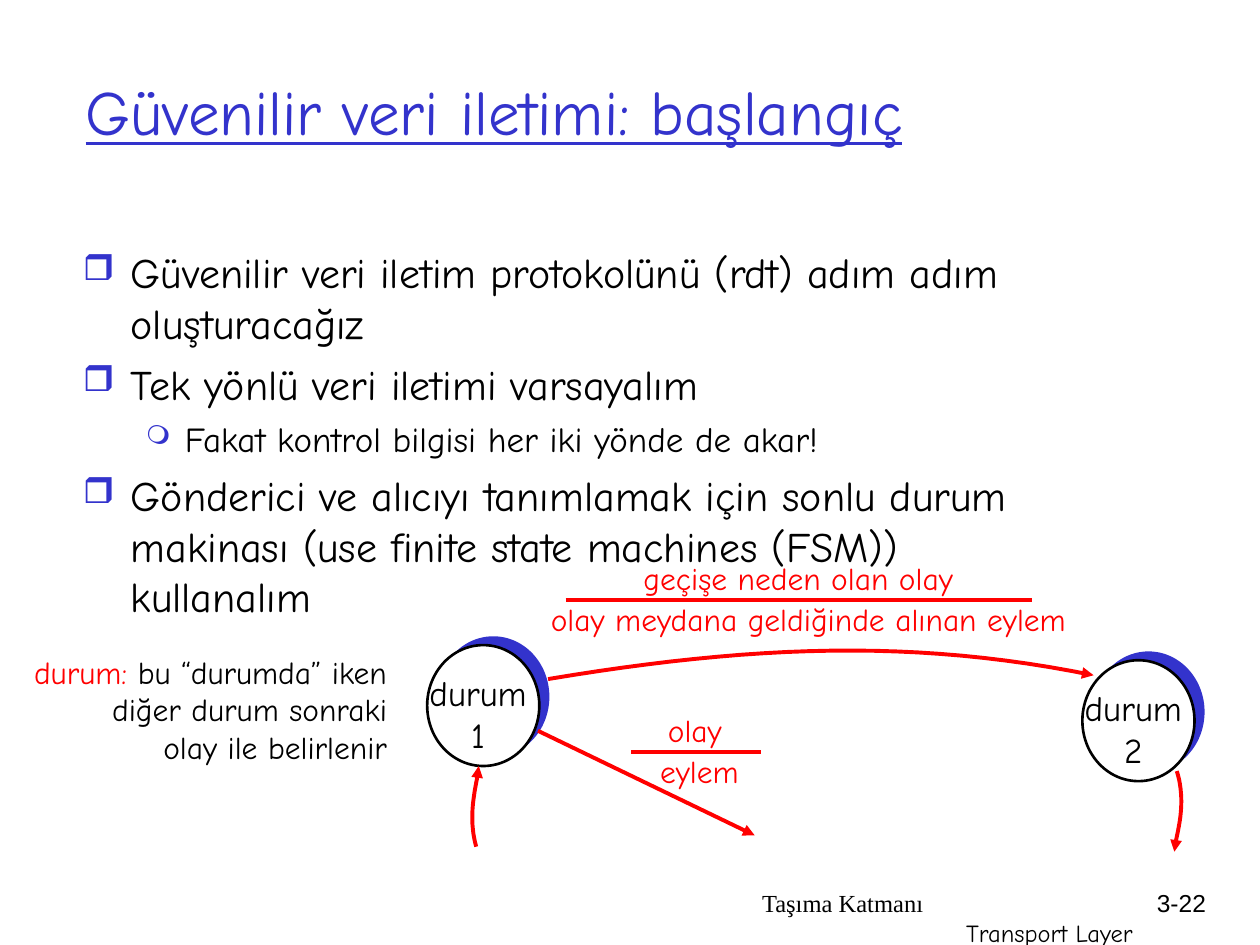
from typing import NamedTuple

from lxml import etree
from pptx import Presentation
from pptx.dml.color import RGBColor
from pptx.enum import shapes, text
from pptx.oxml.ns import qn
from pptx.util import Inches, Pt

COLORS = {"blue": "3333CC", "red": "FF0000", "black": "000000", "white": "FFFFFF"}
FONT = "Comic Neue"
LEFT, CENTER, RIGHT = text.PP_ALIGN.LEFT, text.PP_ALIGN.CENTER, text.PP_ALIGN.RIGHT
CURVE_STEPS = 24


class Bullet(NamedTuple):
    words: str
    symbol: str = "❒"
    scale: int = 85
    margin: float = 0.38
    hanging: float = 0.38
    size: float = 24
    space: float = 6


class State(NamedTuple):
    number: str
    left: float
    top: float


class Label(NamedTuple):
    words: str
    left: float
    top: float
    width: float


class Curve(NamedTuple):
    start: tuple
    control_1: tuple
    control_2: tuple
    end: tuple


BULLETS = [
    Bullet("Güvenilir veri iletim protokolünü (rdt) adım adım oluşturacağız", space=0),
    Bullet("Tek yönlü veri iletimi varsayalım"),
    Bullet("Fakat kontrol bilgisi her iki yönde de akar!", "❍", 75, 0.81, 0.31, 20, 5),
    Bullet("Gönderici ve alıcıyı tanımlamak için sonlu durum makinası "
           "(use finite state machines (FSM)) kullanalım"),
]
STATES = [State("1", 3.47, 5.05), State("2", 8.67, 5.17)]
LABELS = [
    Label("geçişe neden olan olay", 5.01, 4.39, 2.65),
    Label("olay meydana geldiğinde alınan eylem", 4.27, 4.71, 4.29),
    Label("olay", 5.2, 5.59, 0.63),
    Label("eylem", 5.14, 5.92, 0.82),
]
CURVES = [
    Curve((4.35, 5.39), (5.97, 5.12), (7.26, 5.07), (8.68, 5.36)),
    Curve((3.78, 6.72), (3.7, 6.44), (3.8, 6.18), (3.8, 6.08)),
    Curve((9.34, 6.12), (9.43, 6.41), (9.32, 6.66), (9.32, 6.76)),
]


def color(name: str) -> RGBColor:
    return RGBColor.from_string(COLORS[name])


def add_box(slide, left: float, top: float, width: float, height: float, wrap=True):
    """Add a text box; one that does not wrap has no side margins."""
    frame = slide.shapes.add_textbox(
        Inches(left), Inches(top), Inches(width), Inches(height)).text_frame
    frame.word_wrap = wrap
    if not wrap:
        frame.margin_left = frame.margin_right = 0
    return frame


def write(paragraph, words: str, *, size=18, font=FONT, fill="black",
          align=LEFT, underline=None, space=0) -> None:
    """Add one formatted run to a paragraph."""
    paragraph.alignment = align
    paragraph.space_before = Pt(space)
    run = paragraph.add_run()
    run.text = words
    run.font.size, run.font.name = Pt(size), font
    run.font.underline = underline
    run.font.color.rgb = color(fill)


def indent(paragraph, margin: float, hanging: float = 0) -> None:
    properties = paragraph._p.get_or_add_pPr()
    properties.set("marL", str(Inches(margin)))
    properties.set("indent", str(-Inches(hanging)))


def add_bullet(paragraph, bullet: Bullet) -> None:
    indent(paragraph, bullet.margin, bullet.hanging)
    properties = paragraph._p.get_or_add_pPr()
    tint = etree.SubElement(properties, qn("a:buClr"))
    etree.SubElement(tint, qn("a:srgbClr"), val=COLORS["blue"])
    etree.SubElement(properties, qn("a:buSzPct"), val=str(bullet.scale * 1000))
    etree.SubElement(properties, qn("a:buChar"), char=bullet.symbol)
    write(paragraph, bullet.words, size=bullet.size, space=bullet.space)


def style_line(shape, arrow=False) -> None:
    shape.line.color.rgb = color("red")
    shape.line.width = Pt(2.25)
    if arrow:
        etree.SubElement(shape.line._get_or_add_ln(), qn("a:tailEnd"), type="triangle")


def add_line(slide, start: tuple, end: tuple, arrow=False) -> None:
    connector = slide.shapes.add_connector(
        shapes.MSO_CONNECTOR.STRAIGHT, *(Inches(value) for value in start + end))
    style_line(connector, arrow)
    etree.SubElement(connector._element.spPr, qn("a:effectLst"))


def add_curve(slide, curve: Curve) -> None:
    """Draw a cubic curve as a fine open outline with an arrowhead."""
    points = []
    for step in range(CURVE_STEPS + 1):
        t = step / CURVE_STEPS
        weights = ((1 - t) ** 3, 3 * t * (1 - t) ** 2, 3 * t * t * (1 - t), t ** 3)
        points.append(tuple(
            Inches(sum(w * point[axis] for w, point in zip(weights, curve)))
            for axis in (0, 1)))
    builder = slide.shapes.build_freeform(*points[0])
    builder.add_line_segments(points[1:], close=False)
    shape = builder.convert_to_shape()
    shape.shadow.inherit = False
    shape.fill.background()
    style_line(shape, arrow=True)


def add_circle(slide, left: float, top: float, fill: str, outlined=False) -> None:
    shape = slide.shapes.add_shape(
        shapes.MSO_SHAPE.OVAL, Inches(left), Inches(top), Inches(0.89), Inches(0.96))
    shape.shadow.inherit = False
    shape.fill.solid()
    shape.fill.fore_color.rgb = color(fill)
    if outlined:
        shape.line.color.rgb = color("black")
        shape.line.width = Pt(1.5)
    else:
        shape.line.fill.background()


def add_state(slide, state: State) -> None:
    add_circle(slide, state.left, state.top, "blue")
    add_circle(slide, state.left - 0.08, state.top + 0.07, "white", outlined=True)
    frame = add_box(slide, state.left - 0.16, state.top + 0.23, 0.97, 0.77, wrap=False)
    write(frame.paragraphs[0], "durum", size=20, align=CENTER)
    write(frame.add_paragraph(), state.number, size=20, align=CENTER)


def main() -> None:
    presentation = Presentation()
    presentation.slide_width, presentation.slide_height = Inches(10), Inches(7.5)
    slide = presentation.slides.add_slide(presentation.slide_layouts[5])

    # Title
    title = slide.shapes.title
    title.left, title.top = Inches(0.58), Inches(0.25)
    title.width, title.height = Inches(8.5), Inches(1.25)
    title.text_frame.vertical_anchor = text.MSO_ANCHOR.MIDDLE
    write(title.text_frame.paragraphs[0], "Güvenilir veri iletimi: başlangıç",
          size=36, fill="blue", underline=True)

    # Footer and page number
    footer = add_box(slide, 5.92, 7, 3.17, 0.5)
    indent(footer.paragraphs[0], 0.03)
    write(footer.paragraphs[0], "Taşıma Katmanı", size=14, font="Times New Roman")
    write(footer.add_paragraph(), "Transport Layer", size=14, align=RIGHT)
    page = add_box(slide, 8.93, 7, 0.74, 0.5)
    write(page.paragraphs[0], "3-22", size=14, font="Arial", align=RIGHT)

    # Bullet list
    body = add_box(slide, 0.56, 1.91, 7.94, 3.19)
    for index, bullet in enumerate(BULLETS):
        add_bullet(body.add_paragraph() if index else body.paragraphs[0], bullet)

    # State machine
    for state in STATES:
        add_state(slide, state)
    for curve in CURVES:
        add_curve(slide, curve)
    add_line(slide, (4.27, 5.8), (5.99, 6.63), arrow=True)

    # Event over action labels with their dividing rules
    for label in LABELS:
        frame = add_box(slide, label.left, label.top, label.width, 0.4, wrap=False)
        write(frame.paragraphs[0], label.words, fill="red", align=CENTER)
    add_line(slide, (4.49, 4.76), (8.19, 4.76))
    add_line(slide, (5.01, 5.97), (6.04, 5.97))

    # Explanation of a state
    note = add_box(slide, 0.14, 5.13, 3.03, 1.35).paragraphs[0]
    indent(note, 0.38, 0.38)
    write(note, "durum: ", fill="red", align=RIGHT)
    write(note, "bu “durumda” iken diğer durum sonraki olay ile belirlenir", align=RIGHT)

    presentation.save("out.pptx")


if __name__ == "__main__":
    main()
